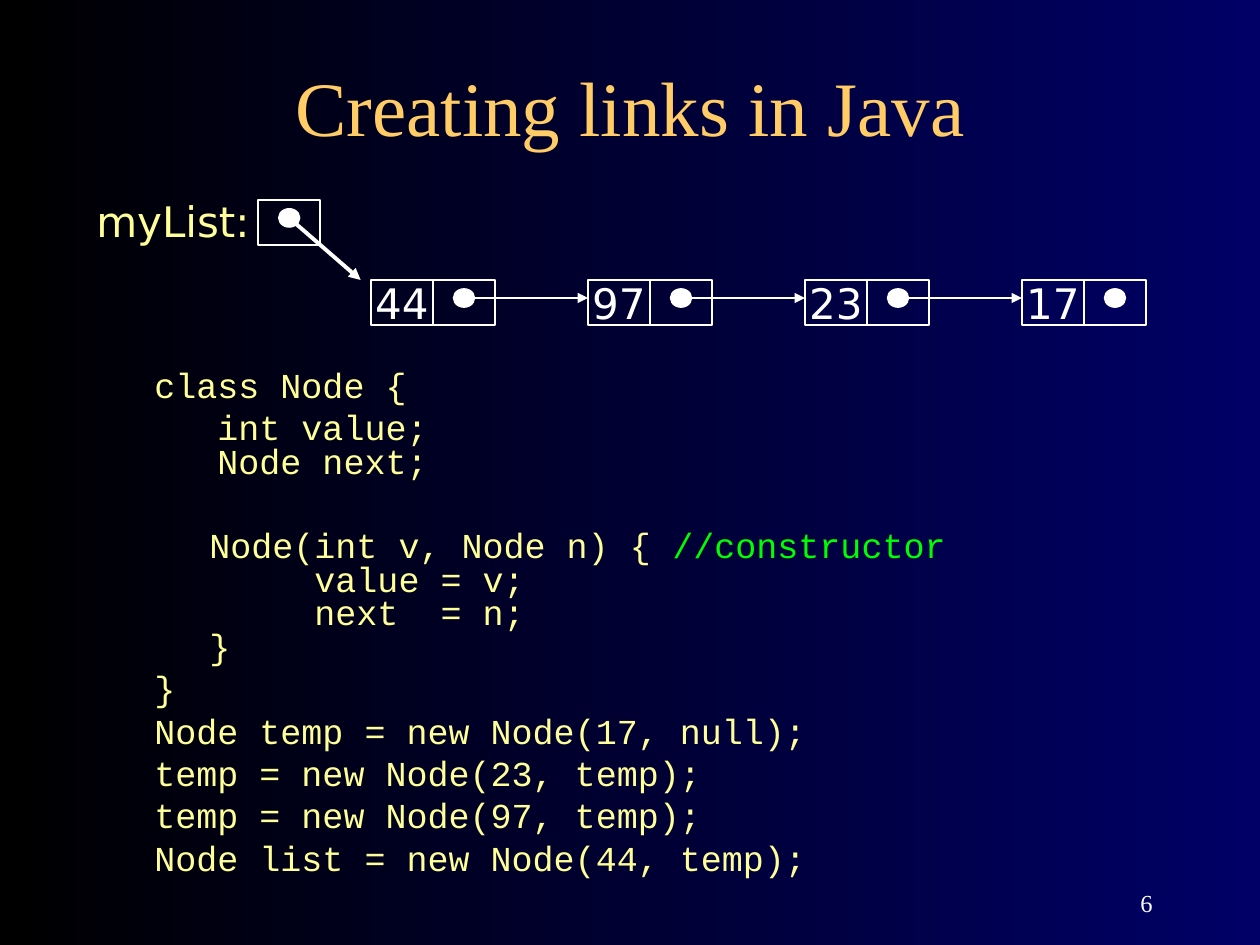
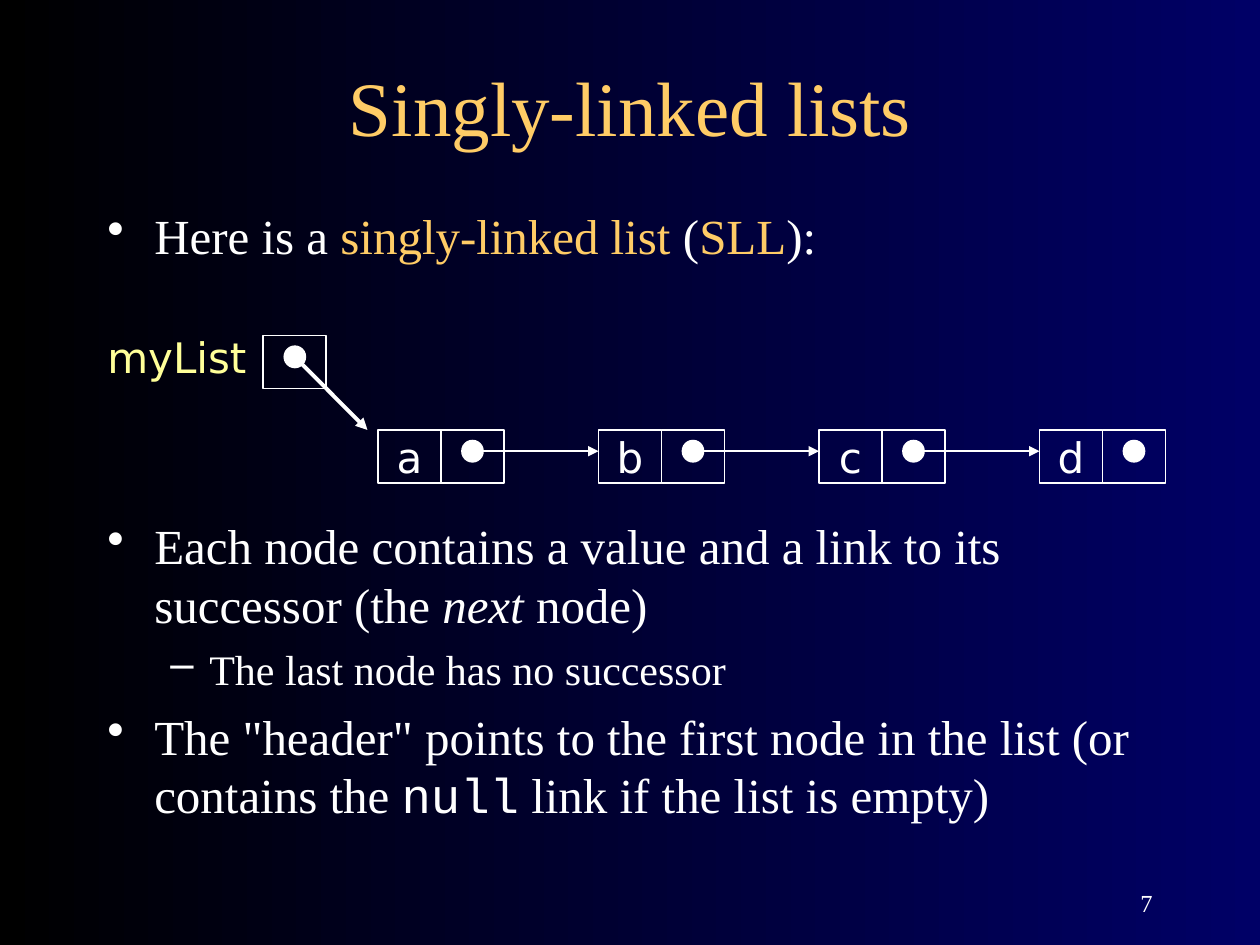
from lxml.etree import SubElement
from pptx import Presentation
from pptx.dml.color import RGBColor
from pptx.enum.shapes import MSO_CONNECTOR, MSO_SHAPE
from pptx.enum.text import MSO_ANCHOR, PP_ALIGN
from pptx.oxml.ns import qn
from pptx.util import Pt

PX = 914400 // 126  # EMU per px
COLORS = {
    "black": "000000", "navy": "000066", "white": "FFFFFF",
    "gold": "FFCC66", "yellow": "FFFF99", "green": "00FF00",
}
SERIF, SANS, MONO = "Times New Roman", "DejaVu Sans", "Courier New"
TITLE_BOX = (95, 53, 1071, 105)
NUMBER_BOX = (903, 861, 262, 63)

# Paragraph styles; margin and hanging indent are in px
STYLES = {
    "code": dict(font=MONO, size=20, color="yellow", margin=47, before=5, spacing=0.8),
    "method": dict(font=MONO, size=20, color="yellow", margin=102, before=29, spacing=0.8),
    "bullet": dict(font=SERIF, size=28, color="white", margin=47, hang=47, bullet="•", before=7),
    "dash": dict(font=SERIF, size=24, color="white", margin=102, hang=39, bullet="–", before=6),
    "label": dict(font=SANS, size=24, color="yellow"),
    "value": dict(font=SANS, size=24, color="white", align=PP_ALIGN.CENTER),
    "title": dict(font=SERIF, size=44, color="gold", align=PP_ALIGN.CENTER),
    "number": dict(font=SERIF, size=14, color="white", align=PP_ALIGN.RIGHT),
}

# A paragraph is (style, run, run, ...); a run is text or (text, changes)
SLIDES = [
    {
        "number": "6",
        "title": "Creating links in Java",
        "bodies": [
            ((95, 365, 1071, 570), [
                ("code", "class Node {"),
                ("code", "   int value;\n   Node next;"),
                ("method", "Node(int v, Node n) { ",
                 ("//constructor\n", {"color": "green"}),
                 "     value = v;\n     next  = n;\n}"),
                ("code", "}"),
                ("code", "Node temp = new Node(17, null);"),
                ("code", "temp = new Node(23, temp);"),
                ("code", "temp = new Node(97, temp);"),
                ("code", "Node list = new Node(44, temp);"),
            ]),
        ],
        "list": {
            "label": "myList:", "label_box": (84, 189, 227, 63),
            "values": ["44", "97", "23", "17"],
            "origin": (371, 280), "cell": (62, 45),
        },
    },
    {
        "number": "7",
        "title": "Singly-linked lists",
        "bodies": [
            ((95, 199, 1071, 96), [
                ("bullet", "Here is a ", ("singly-linked list", {"color": "gold"}),
                 " (", ("SLL", {"color": "gold"}), "):"),
            ]),
            ((95, 509, 1071, 331), [
                ("bullet", "Each node contains a value and a link to its successor (the ",
                 ("next ", {"italic": True}), "node)"),
                ("dash", "The last node has no successor"),
                ("bullet", 'The "header" points to the first node in the list (or contains the ',
                 ("null", {"font": MONO}), " link if the list is empty)"),
            ]),
        ],
        "list": {
            "label": "myList", "label_box": (95, 325, 179, 63),
            "values": ["a", "b", "c", "d"],
            "origin": (378, 430), "cell": (63, 53),
        },
    },
]


def rgb(name):
    return RGBColor.from_string(COLORS[name])


def emu(*lengths):
    return [round(length * PX) for length in lengths]


def format_font(font, look):
    if "font" in look:
        font.name = look["font"]
    if "size" in look:
        font.size = Pt(look["size"])
    if "color" in look:
        font.color.rgb = rgb(look["color"])
    if "italic" in look:
        font.italic = look["italic"]


def write_paragraph(paragraph, style_name, *runs):
    style = STYLES[style_name]
    paragraph.alignment = style.get("align", PP_ALIGN.LEFT)
    paragraph.space_before = Pt(style.get("before", 0))
    paragraph.line_spacing = style.get("spacing", 1.0)
    properties = paragraph._p.get_or_add_pPr()
    margin, hang = emu(style.get("margin", 0), style.get("hang", 0))
    properties.set("marL", str(margin))
    properties.set("indent", str(-hang))
    if "bullet" in style:
        SubElement(properties, qn("a:buChar")).set("char", style["bullet"])
    format_font(paragraph.font, style)
    for run in runs:
        text, changes = (run, {}) if isinstance(run, str) else run
        for index, line in enumerate(text.split("\n")):
            if index:
                paragraph.add_line_break()
            if line:
                piece = paragraph.add_run()
                piece.text = line
                format_font(piece.font, {**style, **changes})


def write_text(shape, paragraphs, anchor=MSO_ANCHOR.TOP, wrap=True):
    frame = shape.text_frame
    frame.word_wrap = wrap
    frame.vertical_anchor = anchor
    for index, content in enumerate(paragraphs):
        paragraph = frame.add_paragraph() if index else frame.paragraphs[0]
        write_paragraph(paragraph, *content)


def add_text(slide, box, paragraphs, **options):
    write_text(slide.shapes.add_textbox(*emu(*box)), paragraphs, **options)


def add_outlined(slide, kind, box, filled=False):
    shape = slide.shapes.add_shape(kind, *emu(*box))
    shape.shadow.inherit = False
    if filled:
        shape.fill.solid()
        shape.fill.fore_color.rgb = rgb("white")
    else:
        shape.fill.background()
    shape.line.color.rgb = rgb("white")
    shape.line.width = Pt(1)
    return shape


def add_arrow(slide, start, end, width):
    arrow = slide.shapes.add_connector(MSO_CONNECTOR.STRAIGHT, *emu(*start, *end))
    arrow.line.color.rgb = rgb("white")
    arrow.line.width = Pt(width)
    SubElement(arrow.line._get_or_add_ln(), qn("a:tailEnd")).set("type", "triangle")
    SubElement(arrow._element.spPr, qn("a:effectLst"))


def add_link_cell(slide, left, top, width, height):
    """Draw a cell with a dot and return the centre of the dot."""
    add_outlined(slide, MSO_SHAPE.RECTANGLE, (left, top, width, height))
    x, y = left + width / 2, top + 0.4 * height
    dot_width, dot_height = width / 3, 0.4 * height
    add_outlined(slide, MSO_SHAPE.OVAL,
                 (x - dot_width / 2, y - dot_height / 2, dot_width, dot_height), filled=True)
    return x, y


def add_linked_list(slide, linked_list):
    """Draw the header cell and a row of nodes, all measured in cell sizes."""
    left, top = linked_list["origin"]
    width, height = linked_list["cell"]
    pitch = 3.5 * width
    values = linked_list["values"]
    for index, value in enumerate(values):
        x = left + index * pitch
        cell = add_outlined(slide, MSO_SHAPE.RECTANGLE, (x, top, width, height))
        write_text(cell, [("value", value)], anchor=MSO_ANCHOR.MIDDLE, wrap=False)
        dot = add_link_cell(slide, x + width, top, width, height)
        if index < len(values) - 1:
            add_arrow(slide, dot, (x + pitch, dot[1]), 1)
    header_dot = add_link_cell(slide, left - 1.82 * width, top - 1.78 * height, width, height)
    add_arrow(slide, header_dot, (left - width / 6, top), 2.25)
    add_text(slide, linked_list["label_box"], [("label", linked_list["label"])])


def set_background(master):
    fill = master.background.fill
    fill.gradient()
    fill.gradient_angle = 0
    for stop, color in zip(fill.gradient_stops, ("black", "navy")):
        stop.color.rgb = rgb(color)


def add_slide(presentation, content):
    slide = presentation.slides.add_slide(presentation.slide_layouts[5])
    title = slide.shapes.title
    title.left, title.top, title.width, title.height = emu(*TITLE_BOX)
    write_text(title, [("title", content["title"])], anchor=MSO_ANCHOR.MIDDLE)
    for box, paragraphs in content["bodies"]:
        add_text(slide, box, paragraphs)
    add_linked_list(slide, content["list"])
    add_text(slide, NUMBER_BOX, [("number", content["number"])], anchor=MSO_ANCHOR.BOTTOM)


def main():
    presentation = Presentation()
    presentation.slide_width, presentation.slide_height = emu(1260, 945)
    set_background(presentation.slide_master)
    for content in SLIDES:
        add_slide(presentation, content)
    presentation.save("out.pptx")


if __name__ == "__main__":
    main()
